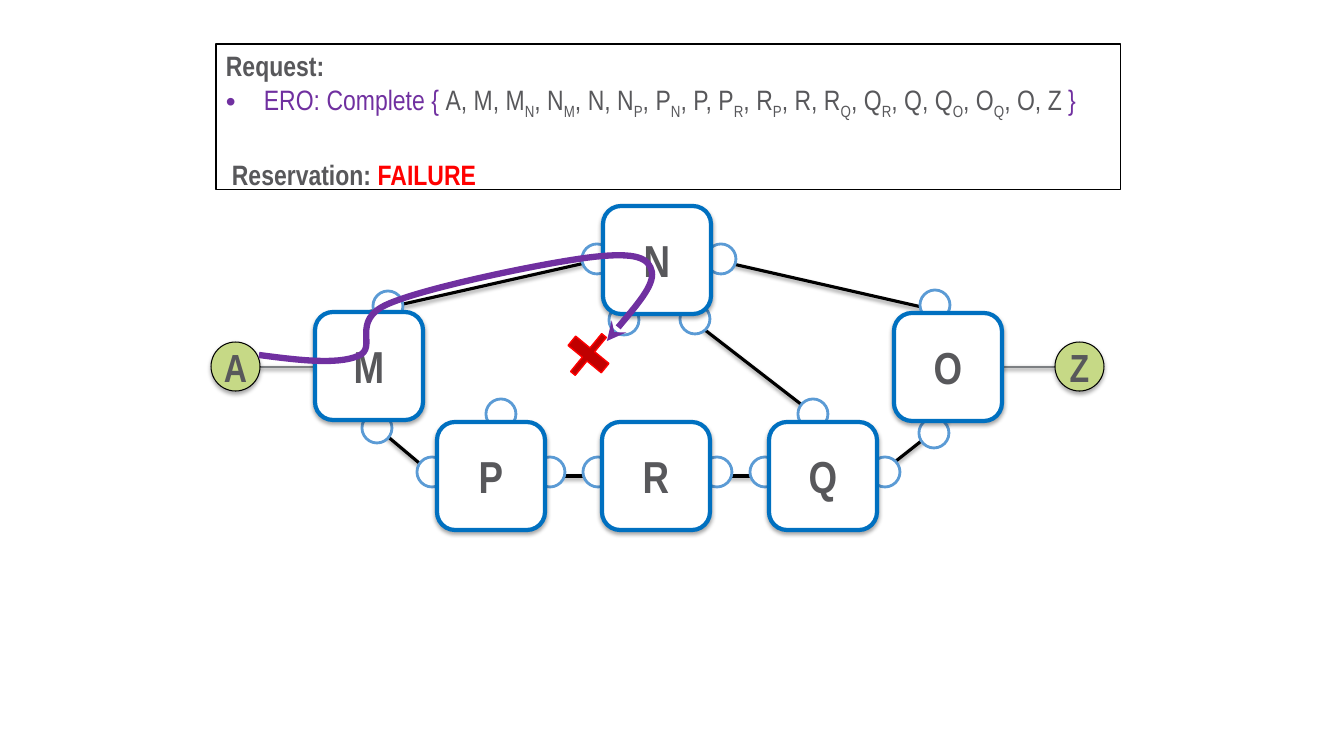
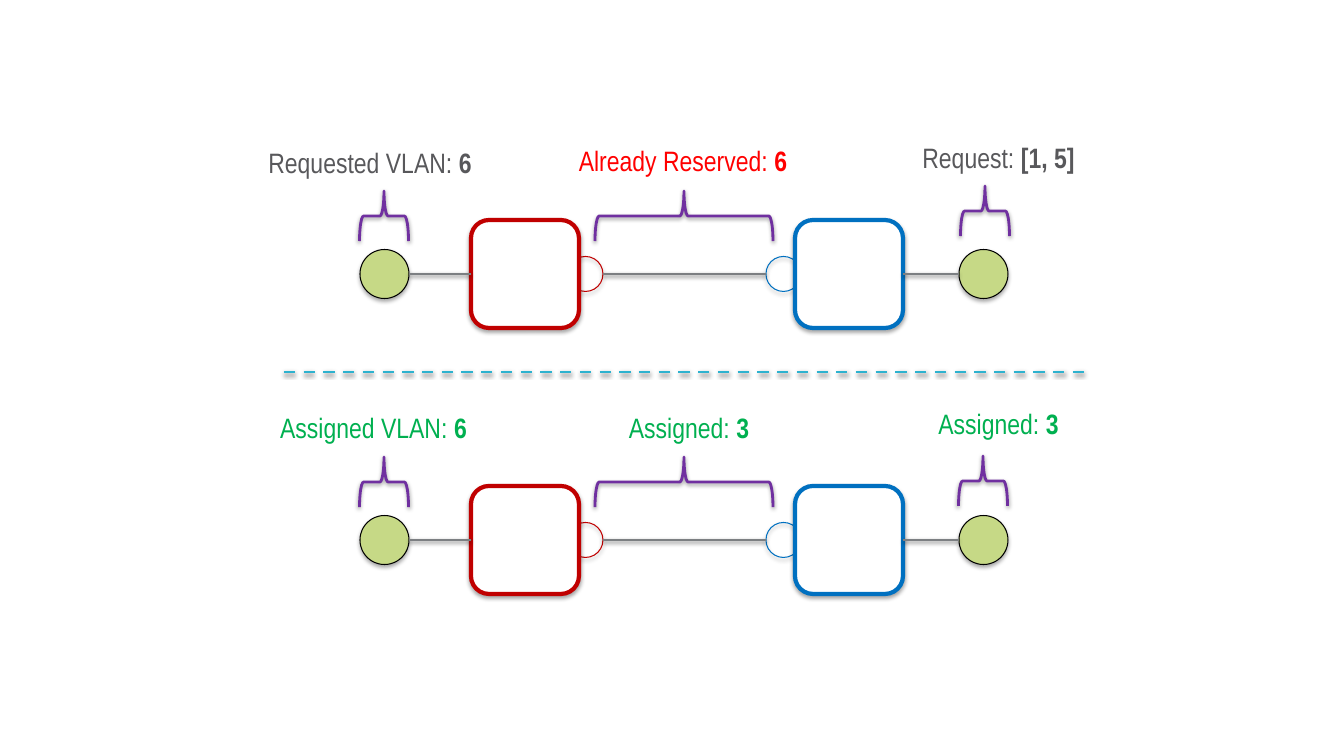
from lxml import etree
from pptx import Presentation
from pptx.dml.color import RGBColor
from pptx.enum.dml import MSO_LINE
from pptx.enum.shapes import MSO_CONNECTOR, MSO_SHAPE
from pptx.enum.text import MSO_ANCHOR, PP_ALIGN
from pptx.oxml.ns import qn
from pptx.util import Pt

PX = 914400 / 100.8
STRAIGHT = MSO_CONNECTOR.STRAIGHT
OVAL, ROUNDED, BRACE = MSO_SHAPE.OVAL, MSO_SHAPE.ROUNDED_RECTANGLE, MSO_SHAPE.RIGHT_BRACE
RECT, CROSS = MSO_SHAPE.RECTANGLE, MSO_SHAPE.CROSS
CENTER, TOP, MIDDLE = PP_ALIGN.CENTER, MSO_ANCHOR.TOP, MSO_ANCHOR.MIDDLE
DASH = MSO_LINE.DASH

FONT = "Arial Narrow"
COLORS = {
    "white": "FFFFFF", "black": "000000", "text": "58585B", "link": "7C7F82",
    "host": "C6D986", "port": "5B9BD5", "blue": "0070C0", "crimson": "C00000",
    "red": "FF0000", "green": "00B050", "purple": "7030A0", "divider": "2DB2CF",
}
# Shadow: opacity in percent, distance in points
SHAPE_SHADOW, LINE_SHADOW = (35, 1.8), (38, 1.6)
CENTERED = {"margin_left": 0, "margin_right": 0, "margin_top": 0, "margin_bottom": 0,
            "word_wrap": False, "vertical_anchor": MIDDLE}
HOST, NODE, PORT, VLAN_PORT = 49, 108, 30, 35


def paint(item, color, width, fill=None, shadow=None):
    """Outline, fill (connectors have none) and shadow of a drawn item."""
    item.line.color.rgb = RGBColor.from_string(COLORS[color])
    item.line.width = Pt(width)
    if fill:
        item.fill.solid()
        item.fill.fore_color.rgb = RGBColor.from_string(COLORS[fill])
    elif hasattr(item, "fill"):
        item.fill.background()
    effects = etree.SubElement(item._element.spPr, qn("a:effectLst"))
    if shadow:
        opacity, distance = shadow
        outer = etree.SubElement(effects, qn("a:outerShdw"), blurRad=str(Pt(3.1)),
                                 dist=str(Pt(distance)), dir="5400000", rotWithShape="0")
        tint = etree.SubElement(outer, qn("a:srgbClr"), val=COLORS["black"])
        etree.SubElement(tint, qn("a:alpha"), val=str(opacity * 1000))
    return item


def write(paragraph, size, runs):
    """Add runs given as (text, color, bold, subscript)."""
    for text, color, bold, subscript in runs:
        run = paragraph.add_run()
        run.text = text
        for name, value in {"name": FONT, "size": Pt(size), "bold": bold}.items():
            setattr(run.font, name, value)
        run.font.color.rgb = RGBColor.from_string(COLORS[color])
        if subscript:
            run.font._element.set("baseline", "-25000")


deck = Presentation()
deck.slide_width, deck.slide_height = round(1344 * PX), round(756 * PX)
failure, vlan = [deck.slides.add_slide(deck.slide_layouts[6]).shapes for _ in range(2)]

# Slide 1: links between nodes and to the hosts
links = [
    ("black", 2.25, [(948, 313, 711, 259), (603, 259, 368, 312), (437, 478, 368, 420),
                     (948, 420, 877, 476), (602, 476, 545, 476), (769, 476, 710, 476),
                     (683, 313, 824, 422)]),
    ("link", 2, [(1001, 367, 1055, 367), (260, 367, 315, 367)]),
]
for color, width, ends in links:
    for end in ends:
        link = failure.add_connector(STRAIGHT, *[round(v * PX) for v in end])
        paint(link, color, width, shadow=LINE_SHADOW)

# Ports, half hidden by their nodes
ports = [(582, 244), (706, 244), (373, 291), (920, 290), (362, 413), (919, 418),
         (680, 304), (609, 305), (798, 399), (486, 399)]
ports += [(x, 457) for x in (417, 535, 583, 702, 750, 870)]
for x, y in ports:
    port = failure.add_shape(OVAL, *[round(v * PX) for v in (x, y, PORT, PORT)])
    paint(port, "port", 2, "white")

# Hosts and nodes with their letters
hosts = {"A": (211, 342), "Z": (1055, 342)}
nodes = {"M": (315, 312), "O": (894, 313), "R": (602, 422),
         "N": (603, 206), "P": (437, 422), "Q": (769, 422)}
stations = [(hosts, OVAL, HOST, 28, ("black", 0.75, "host")),
            (nodes, ROUNDED, NODE, 32, ("blue", 3, "white"))]
for places, outline, side, size, look in stations:
    for letter, (x, y) in places.items():
        station = failure.add_shape(outline, *[round(v * PX) for v in (x, y, side, side)])
        paint(station, *look, SHAPE_SHADOW)
        for name, value in CENTERED.items():
            setattr(station.text_frame, name, value)
        letter_line = station.text_frame.paragraphs[0]
        letter_line.alignment = CENTER
        write(letter_line, size, [(letter, "text", True, False)])

# Request box
request = failure.add_shape(RECT, *[round(v * PX) for v in (216, 44, 905, 146)])
paint(request, "black", 0.75)
request_frame = request.text_frame
request_frame.word_wrap = True
request_frame.vertical_anchor = TOP
heading, route, outcome = [request_frame.paragraphs[0], request_frame.add_paragraph(),
                           request_frame.add_paragraph()]
for paragraph, left, hanging in [(heading, 0, 0), (route, 38, -38), (outcome, 6, 0)]:
    paragraph.alignment = PP_ALIGN.LEFT
    properties = paragraph._p.get_or_add_pPr()
    properties.set("marL", str(round(left * PX)))
    properties.set("indent", str(round(hanging * PX)))
outcome.space_before = Pt(26)
bullet = route._p.get_or_add_pPr()
etree.SubElement(bullet, qn("a:buFont"), typeface="Arial")
etree.SubElement(bullet, qn("a:buChar"), char="•")

hops = "A M M_N N_M N N_P P_N P P_R R_P R R_Q Q_R Q Q_O O_Q O Z".split()
route_runs = [("ERO: Complete { ", "purple", False, False)]
for index, hop in enumerate(hops):
    node, _, neighbour = hop.partition("_")
    route_runs.append((", " + node if index else node, "text", False, False))
    if neighbour:
        route_runs.append((neighbour, "text", False, True))
route_runs.append((" }", "purple", False, False))
write(heading, 20, [("Request:", "text", True, False)])
write(route, 20, route_runs)
write(outcome, 20, [("Reservation: ", "text", True, False), ("FAILURE", "red", True, False)])

# Reserved path: each three points after the start make one Bézier curve
trail_points = [(297, 360), (337, 365), (358, 356), (379, 348), (349, 321), (388, 304),
                (427, 287), (549, 262), (593, 257), (637, 252), (649, 258), (652, 272),
                (654, 286), (630, 313), (607, 341)]
builder = failure.build_freeform(259, 355, scale=PX)
builder.add_line_segments(trail_points, close=False)
trail = paint(builder.convert_to_shape(), "purple", 4.5)
etree.SubElement(trail.line._get_or_add_ln(), qn("a:tailEnd"), type="stealth")
outline = next(trail._element.iter(qn("a:path")))
segments = outline.findall(qn("a:lnTo"))
for first in range(0, len(segments), 3):
    curve = etree.SubElement(outline, qn("a:cubicBezTo"))
    for segment in segments[first:first + 3]:
        curve.append(segment[0])
        outline.remove(segment)

# Failure mark
mark = failure.add_shape(CROSS, *[round(v * PX) for v in (567, 330, 43, 49)])
mark.rotation = 39.4
mark.adjustments[0] = 0.43
paint(mark, "red", 1, "crimson")

# Slide 2: one row for the request, one for the assignment
# Labels: box, text, value, color; braces: center x, center y, span
rows = [
    (274,
     [((257, 141, 226, 44), "Requested VLAN: ", "6", "text"),
      ((564, 139, 238, 44), "Already Reserved: ", "6", "red"),
      ((901, 136, 195, 44), "Request: ", "[1, 5]", "text")],
     [(384, 216, 49), (684, 216, 178), (985, 211, 49)]),
    (540,
     [((257, 406, 233, 44), "Assigned VLAN: ", "6", "green"),
      ((570, 406, 238, 44), "Assigned: ", "3", "green"),
      ((901, 402, 195, 44), "Assigned: ", "3", "green")],
     [(384, 482, 49), (684, 482, 178), (983, 481, 49)]),
]
# Left edge, side and look of each part, centered on the row's axis
chain = [
    (OVAL, 568, VLAN_PORT, ("crimson", 0.75, None)),
    (OVAL, 766, VLAN_PORT, ("blue", 0.75, None)),
    (OVAL, 360, HOST, ("black", 0.75, "host")),
    (OVAL, 959, HOST, ("black", 0.75, "host")),
    (ROUNDED, 471, NODE, ("crimson", 3, "white")),
    (ROUNDED, 795, NODE, ("blue", 3, "white")),
]
BRACE_DEPTH = 50
for axis, labels, braces in rows:
    for outline, x, side, look in chain:
        part = vlan.add_shape(outline, *[round(v * PX) for v in (x, axis - side / 2, side, side)])
        paint(part, *look, SHAPE_SHADOW)
    for start, end in [(409, 471), (603, 766), (903, 959)]:
        link = vlan.add_connector(STRAIGHT, *[round(v * PX) for v in (start, axis, end, axis)])
        paint(link, "link", 2, shadow=LINE_SHADOW)
    for x, y, span in braces:
        box = (x - BRACE_DEPTH / 2, y - span / 2, BRACE_DEPTH, span)
        brace = vlan.add_shape(BRACE, *[round(v * PX) for v in box])
        brace.rotation = 270
        paint(brace, "purple", 2, shadow=LINE_SHADOW)
    for box, caption, value, color in labels:
        label = vlan.add_textbox(*[round(v * PX) for v in box]).text_frame
        label.word_wrap = True
        label.paragraphs[0].alignment = CENTER
        write(label.paragraphs[0], 20, [(caption, color, False, False),
                                        (value, color, True, False)])

# Divider between the rows
divider = vlan.add_connector(STRAIGHT, *[round(v * PX) for v in (284, 372, 1091, 372)])
divider.line.dash_style = DASH
paint(divider, "divider", 2, shadow=LINE_SHADOW)

deck.save("out.pptx")
